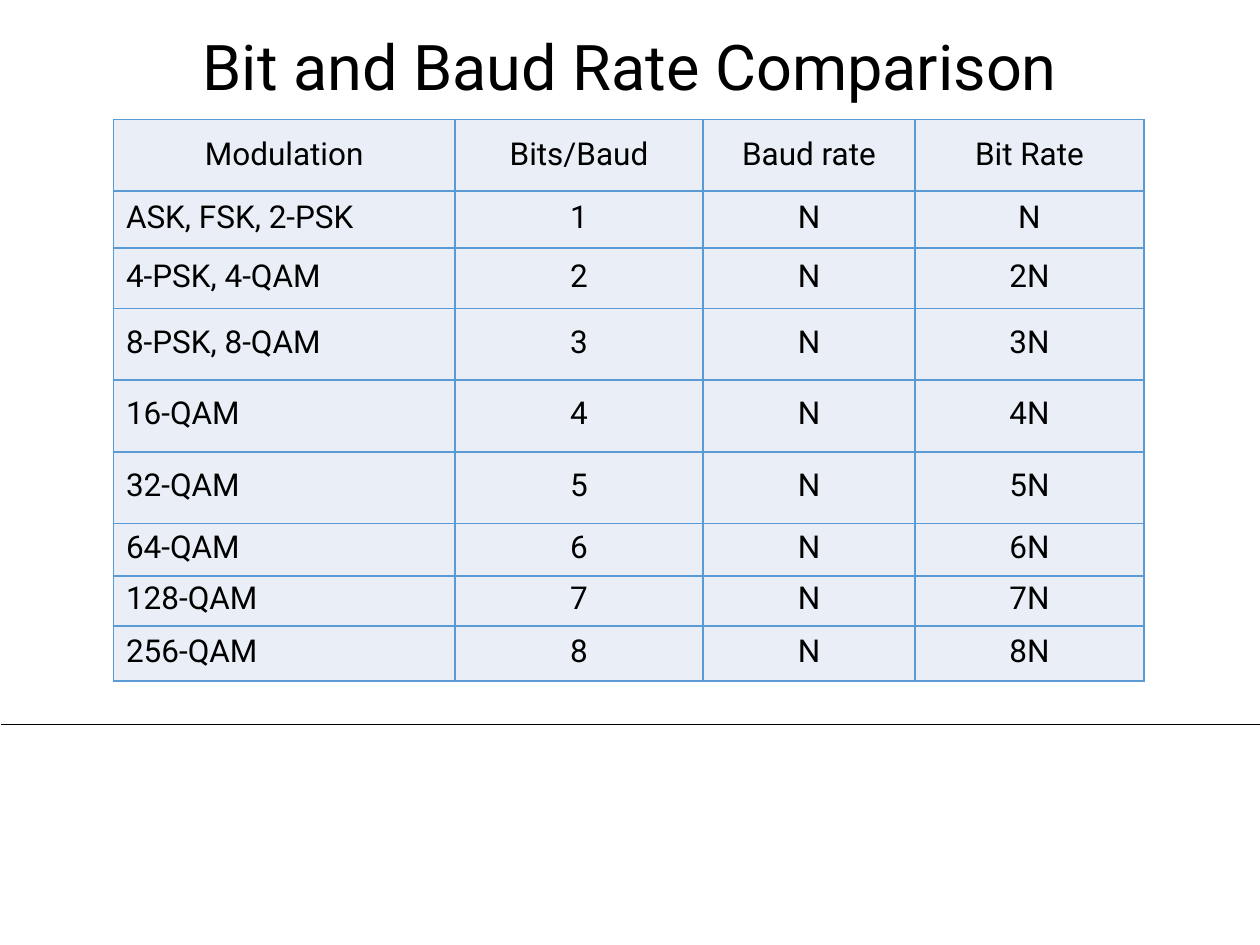
from lxml.etree import SubElement
from pptx import Presentation
from pptx.dml.color import RGBColor
from pptx.enum.shapes import MSO_CONNECTOR as Connector
from pptx.enum.text import MSO_ANCHOR as Anchor, PP_ALIGN as Align
from pptx.oxml.ns import qn
from pptx.util import Pt

FONT = "Roboto"
BLACK = "000000"
CELL_FILL = "EAEFF7"
BORDER = "5B9BD5"
HEADERS = ["Modulation", "Bits/Baud", "Baud rate", "Bit Rate"]
MODULATIONS = ["ASK, FSK, 2-PSK", "4-PSK, 4-QAM", "8-PSK, 8-QAM", "16-QAM",
               "32-QAM", "64-QAM", "128-QAM", "256-QAM"]
COLUMN_WIDTHS = [195.2, 141.8, 121, 131]
ROW_HEIGHTS = [41, 32.5, 34.5, 41, 41, 41, 30, 28.5, 31.5]


def color(value):
    """Turn a hex string into a colour."""
    return RGBColor.from_string(value)


def format_paragraph(paragraph, size, alignment, line_spacing):
    """Set the alignment, spacing and font of a paragraph."""
    paragraph.alignment = alignment
    paragraph.line_spacing = line_spacing
    for run in paragraph.runs:
        run.font.name = FONT
        run.font.size = Pt(size)
        run.font.color.rgb = color(BLACK)


def add_title(slide, text):
    """Add the centred slide title."""
    shape = slide.shapes.add_textbox(Pt(30), Pt(12), Pt(660), Pt(56.5))
    frame = shape.text_frame
    frame.word_wrap = True
    frame.vertical_anchor = Anchor.MIDDLE
    frame.text = text
    format_paragraph(frame.paragraphs[0], 36, Align.CENTER, 0.9)


def add_rule(slide, left, top, width):
    """Add a thin horizontal line without a shadow."""
    line = slide.shapes.add_connector(
        Connector.STRAIGHT, Pt(left), Pt(top), Pt(left + width), Pt(top))
    line.line.color.rgb = color(BLACK)
    line.line.width = Pt(0.5)
    SubElement(line._element.spPr, qn("a:effectLst"))


def set_borders(cell):
    """Draw a thin border on all four sides of a cell."""
    properties = cell._tc.get_or_add_tcPr()
    for index, side in enumerate(("lnL", "lnR", "lnT", "lnB")):
        border = properties.makeelement(qn(f"a:{side}"), {"w": str(Pt(1))})
        fill = SubElement(border, qn("a:solidFill"))
        SubElement(fill, qn("a:srgbClr"), val=BORDER)
        properties.insert(index, border)


def fill_cell(cell, text, alignment, line_spacing):
    """Write and style one table cell."""
    cell.text = text
    cell.vertical_anchor = Anchor.MIDDLE
    cell.fill.solid()
    cell.fill.fore_color.rgb = color(CELL_FILL)
    format_paragraph(cell.text_frame.paragraphs[0], 18, alignment, line_spacing)
    set_borders(cell)


def comparison_rows():
    """List the header and one row for each number of bits per baud."""
    rows = [HEADERS]
    for bits, modulation in enumerate(MODULATIONS, start=1):
        bit_rate = "N" if bits == 1 else f"{bits}N"
        rows.append([modulation, str(bits), "N", bit_rate])
    return rows


def add_comparison_table(slide, rows):
    """Add the table of modulations and their rates."""
    table = slide.shapes.add_table(
        len(rows), len(HEADERS), Pt(64.8), Pt(68.2),
        Pt(sum(COLUMN_WIDTHS)), Pt(sum(ROW_HEIGHTS))).table
    for column, width in zip(table.columns, COLUMN_WIDTHS):
        column.width = Pt(width)
    for row, height in zip(table.rows, ROW_HEIGHTS):
        row.height = Pt(height)
    for row_index, values in enumerate(rows):
        for column_index, text in enumerate(values):
            is_label = row_index > 0 and column_index == 0
            fill_cell(table.cell(row_index, column_index), text,
                      Align.LEFT if is_label else Align.CENTER,
                      0.8 if row_index else 1.0)


def main():
    """Build and save the slide."""
    presentation = Presentation()
    presentation.slide_width = Pt(720)
    presentation.slide_height = Pt(540)
    slide = presentation.slides.add_slide(presentation.slide_layouts[6])
    add_rule(slide, 0.5, 414, 720)
    add_title(slide, "Bit and Baud Rate Comparison")
    add_comparison_table(slide, comparison_rows())
    presentation.save("out.pptx")


if __name__ == "__main__":
    main()
